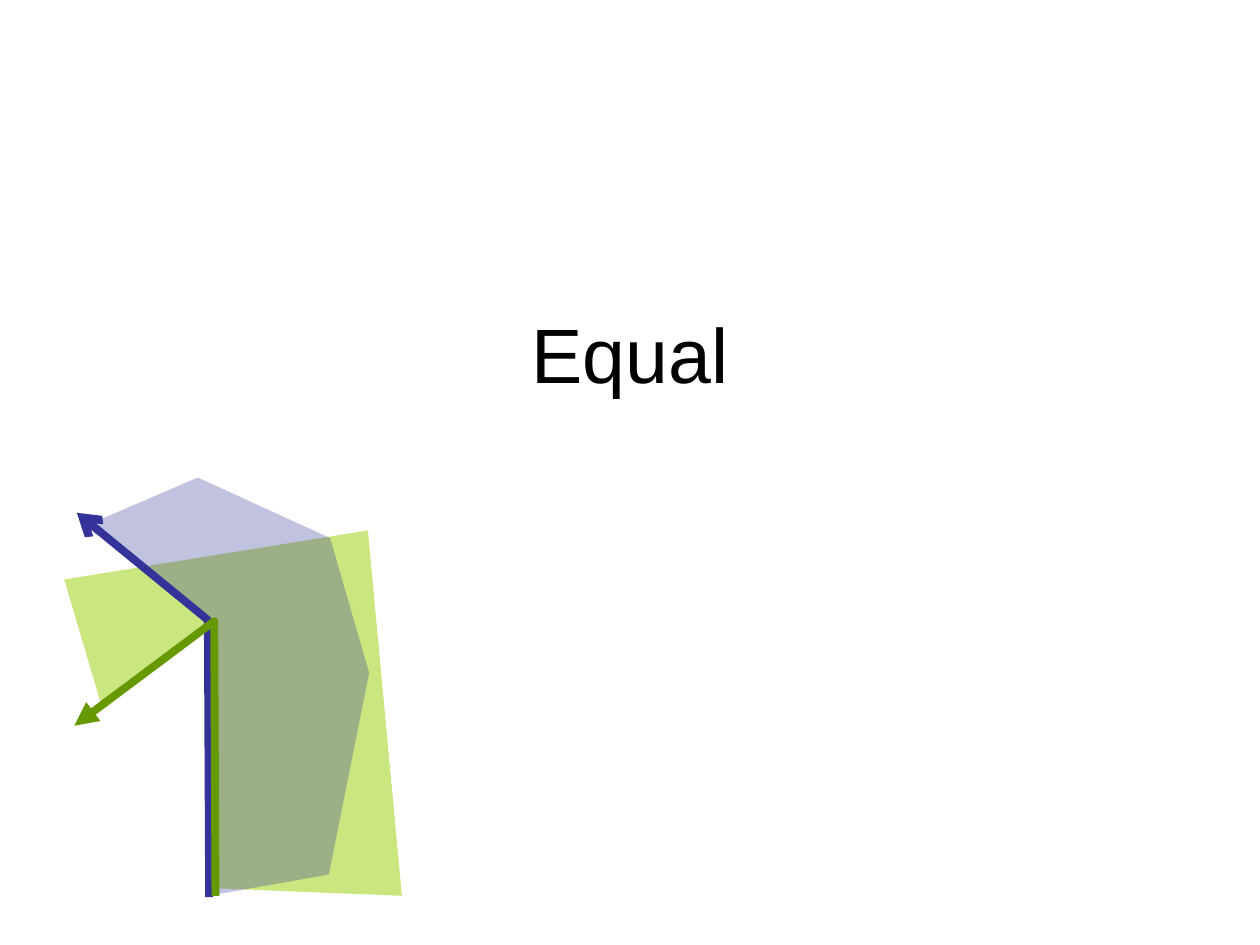
from dataclasses import dataclass

from lxml import etree
from pptx import Presentation
from pptx.dml.color import RGBColor
from pptx.enum.text import MSO_ANCHOR, PP_ALIGN
from pptx.oxml.ns import qn
from pptx.util import Inches, Pt

CENTER = PP_ALIGN.CENTER
TOP = MSO_ANCHOR.TOP
BLANK_LAYOUT = 6

Points = list[tuple[float, float]]


@dataclass
class Area:
    points: Points
    color: str
    opacity: int  # percent


@dataclass
class ArrowPath:
    points: Points
    color: str
    end_tag: str  # a:headEnd is the first point, a:tailEnd the last
    arrow: str


AREAS = [
    Area([(1.69, 7.05), (1.7, 4.89), (0.8, 5.58), (0.51, 4.6),
          (2.92, 4.21), (3.19, 7.11)], "99CC00", 50),
    Area([(2.93, 5.34), (2.62, 4.27), (1.57, 3.79), (0.71, 4.16),
          (1.68, 4.91), (1.65, 7.11), (2.61, 6.94)], "333399", 30),
]
ARROW_PATHS = [
    ArrowPath([(0.61, 4.07), (1.65, 4.92), (1.66, 7.12)], "333399", "a:headEnd", "arrow"),
    ArrowPath([(1.71, 7.11), (1.7, 4.93), (0.59, 5.76)], "669900", "a:tailEnd", "triangle"),
]


def rgb(color: str) -> RGBColor:
    return RGBColor.from_string(color)


def add_text(slide, text: str, *, left: float, top: float, width: float, height: float,
             size: float, color: str = "000000", font: str = "Arial", align=CENTER):
    box = slide.shapes.add_textbox(Inches(left), Inches(top), Inches(width), Inches(height))
    frame = box.text_frame
    frame.word_wrap = True
    frame.vertical_anchor = TOP
    frame.margin_top = Inches(0.1)
    paragraph = frame.paragraphs[0]
    paragraph.alignment = align
    run = paragraph.add_run()
    run.text = text
    run.font.name = font
    run.font.size = Pt(size)
    run.font.color.rgb = rgb(color)
    return box


def add_outline(slide, points: Points, close: bool):
    corners = [(Inches(x), Inches(y)) for x, y in points]
    builder = slide.shapes.build_freeform(*corners[0])
    builder.add_line_segments(corners[1:], close=close)
    shape = builder.convert_to_shape()
    shape.shadow.inherit = False
    return shape


def add_area(slide, area: Area) -> None:
    shape = add_outline(slide, area.points, close=True)
    shape.line.fill.background()
    shape.fill.solid()
    shape.fill.fore_color.rgb = rgb(area.color)
    color_element = shape._element.spPr.find(qn("a:solidFill"))[0]
    etree.SubElement(color_element, qn("a:alpha"), val=str(area.opacity * 1000))


def add_arrow_path(slide, arrow_path: ArrowPath) -> None:
    shape = add_outline(slide, arrow_path.points, close=False)
    shape.fill.background()
    shape.line.color.rgb = rgb(arrow_path.color)
    shape.line.width = Pt(4.5)
    line_element = shape._element.spPr.find(qn("a:ln"))
    etree.SubElement(line_element, qn("a:round"))
    etree.SubElement(line_element, qn(arrow_path.end_tag), type=arrow_path.arrow)


def main() -> None:
    presentation = Presentation()
    presentation.slide_width = Inches(10)
    presentation.slide_height = Inches(7.5)
    slide = presentation.slides.add_slide(presentation.slide_layouts[BLANK_LAYOUT])

    # Title
    add_text(slide, "Equal", left=0.75, top=2.33, width=8.5, height=1.61, size=44)

    # Overlapping translucent areas
    for area in AREAS:
        add_area(slide, area)

    # Bent arrows along the areas' inner edges
    for arrow_path in ARROW_PATHS:
        add_arrow_path(slide, arrow_path)

    presentation.save("out.pptx")


if __name__ == "__main__":
    main()
